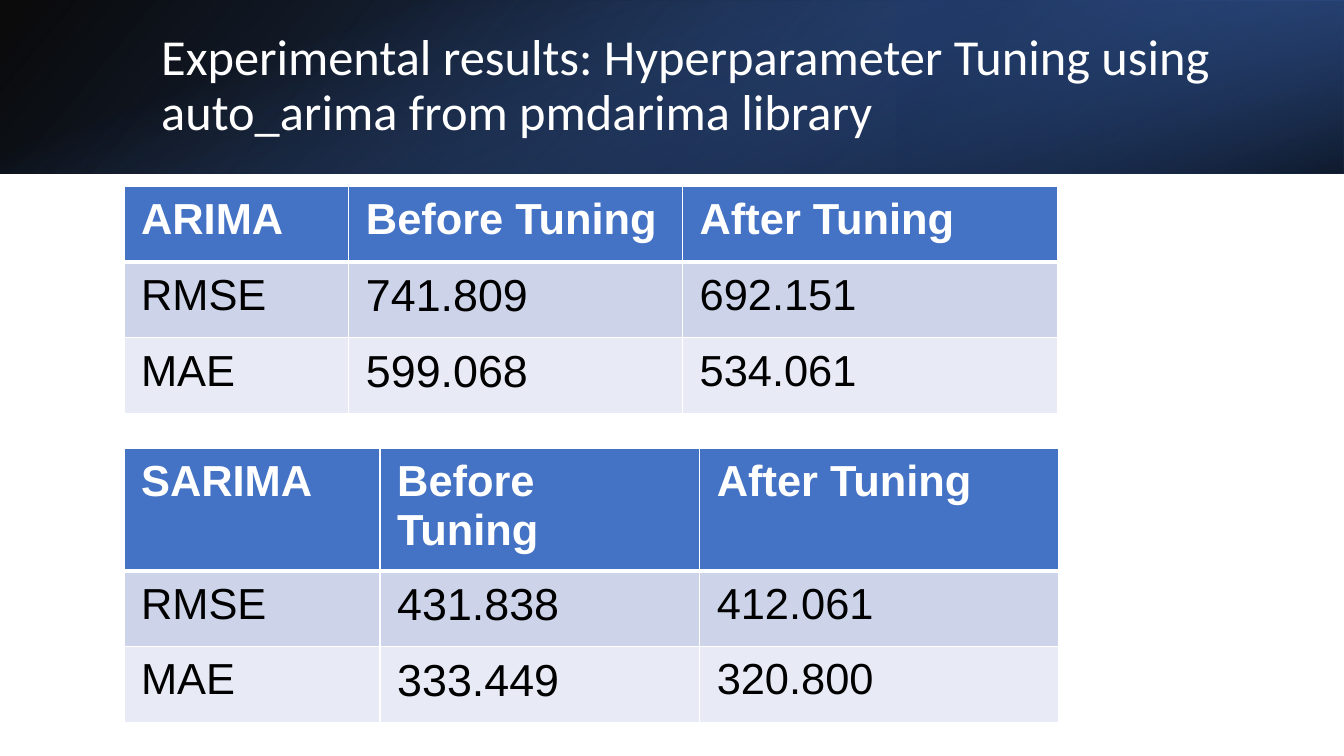
from lxml import etree
from pptx import Presentation
from pptx.dml.color import RGBColor
from pptx.enum.shapes import MSO_SHAPE
from pptx.enum.text import MSO_ANCHOR
from pptx.oxml import parse_xml
from pptx.oxml.ns import nsdecls, qn
from pptx.util import Inches, Pt

WHITE, BLACK, BLUE = "FFFFFF", "000000", "4472C4"
ROW_FILLS = [BLUE, "CDD4EA", "E8EBF5"]
TABLE_LEFT, ROW_HEIGHT = 1.23, 0.75
CELL_FORMAT = {
    "margin_left": Inches(0.17), "margin_right": Inches(0.17),
    "margin_top": Inches(0.09), "margin_bottom": Inches(0.09),
}
TITLE_FORMAT = {
    "word_wrap": True, "vertical_anchor": MSO_ANCHOR.MIDDLE,
    "margin_left": Inches(0.1), "margin_right": Inches(0.1),
    "margin_top": Inches(0.05), "margin_bottom": Inches(0.05),
}


def color(value):
    return RGBColor.from_string(value)


def apply_format(target, values):
    for name, value in values.items():
        setattr(target, name, value)


def write_text(paragraph, text, font_color, **font_values):
    run = paragraph.add_run()
    run.text = text
    run.font.color.rgb = color(font_color)
    apply_format(run.font, font_values)


def add_gradient_band(slide, box, stops, angle, rotation=0, flipped=False):
    """Stops are (position, colour, opacity), both numbers in percent."""
    band = slide.shapes.add_shape(MSO_SHAPE.RECTANGLE, *map(Inches, box))
    band.shadow.inherit = False
    band.line.fill.background()
    band.rotation = rotation
    properties = band.element.spPr
    if flipped:
        properties.xfrm.set("flipH", "1")
    stop_xml = "".join(
        f'<a:gs pos="{position * 1000}"><a:srgbClr val="{value}">'
        f'<a:alpha val="{opacity * 1000}"/></a:srgbClr></a:gs>'
        for position, value, opacity in stops)
    gradient = parse_xml(
        f'<a:gradFill {nsdecls("a")} rotWithShape="1"><a:gsLst>{stop_xml}</a:gsLst>'
        f'<a:lin ang="{angle * 60000}" scaled="0"/></a:gradFill>')
    properties.find(qn("a:prstGeom")).addnext(gradient)


def add_title(slide, text):
    box = slide.shapes.add_textbox(Inches(1.5), Inches(0.38), Inches(10.98), Inches(0.96))
    apply_format(box.text_frame, TITLE_FORMAT)
    paragraph = box.text_frame.paragraphs[0]
    paragraph.line_spacing = 0.9
    write_text(paragraph, text, WHITE, name="Calibri", size=Pt(36))


def set_borders(cell, widths):
    properties = cell._tc.get_or_add_tcPr()
    for side, width in widths.items():
        line = etree.SubElement(properties, qn(f"a:ln{side}"), w=str(Pt(width)))
        fill = etree.SubElement(line, qn("a:solidFill"))
        etree.SubElement(fill, qn("a:srgbClr"), val=WHITE)


def add_results_table(slide, top, widths, rows):
    frame = slide.shapes.add_table(
        len(rows), len(widths), Inches(TABLE_LEFT), Inches(top),
        Inches(sum(widths)), Inches(ROW_HEIGHT * len(rows)))
    table = frame.table
    for column, width in zip(table.columns, widths):
        column.width = Inches(width)
    for r, row in enumerate(rows):
        table.rows[r].height = Inches(ROW_HEIGHT)
        is_header = r == 0
        for c, text in enumerate(row):
            cell = table.cell(r, c)
            apply_format(cell, CELL_FORMAT)
            set_borders(cell, {"L": 1, "R": 1, "T": 3 if r == 1 else 1,
                               "B": 3 if is_header else 1})
            cell.fill.solid()
            cell.fill.fore_color.rgb = color(ROW_FILLS[r])
            is_before_value = c == 1 and not is_header
            write_text(cell.text_frame.paragraphs[0], text,
                       WHITE if is_header else BLACK, name="Arial",
                       size=Pt(32 if is_before_value else 31), bold=is_header)


def main():
    presentation = Presentation()
    presentation.slide_width, presentation.slide_height = Inches(13.33), Inches(7.5)
    slide = presentation.slides.add_slide(presentation.slide_layouts[6])

    add_gradient_band(slide, (0, 0, 13.33, 1.72),
                      [(0, BLACK, 96), (100, "2F5496", 100)], 140, flipped=True)
    add_gradient_band(slide, (8.89, 0, 4.44, 1.72),
                      [(0, "1F3864", 68), (19, "1F3864", 68), (100, BLUE, 79)],
                      320, rotation=180, flipped=True)
    add_gradient_band(slide, (5.8, -5.8, 1.72, 13.33),
                      [(0, BLUE, 0), (23, BLUE, 0), (99, BLACK, 74), (100, BLACK, 74)],
                      340, rotation=90)
    add_title(slide, "Experimental results: Hyperparameter Tuning using "
                     "auto_arima from pmdarima library")

    add_results_table(slide, 1.85, [2.23, 3.31, 3.72], [
        ["ARIMA", "Before Tuning", "After Tuning"],
        ["RMSE", "741.809", "692.151"],
        ["MAE", "599.068", "534.061"],
    ])
    add_results_table(slide, 4.45, [2.54, 3.17, 3.56], [
        ["SARIMA", "Before Tuning", "After Tuning"],
        ["RMSE", "431.838", "412.061"],
        ["MAE", "333.449", "320.800"],
    ])
    presentation.save("out.pptx")


if __name__ == "__main__":
    main()
